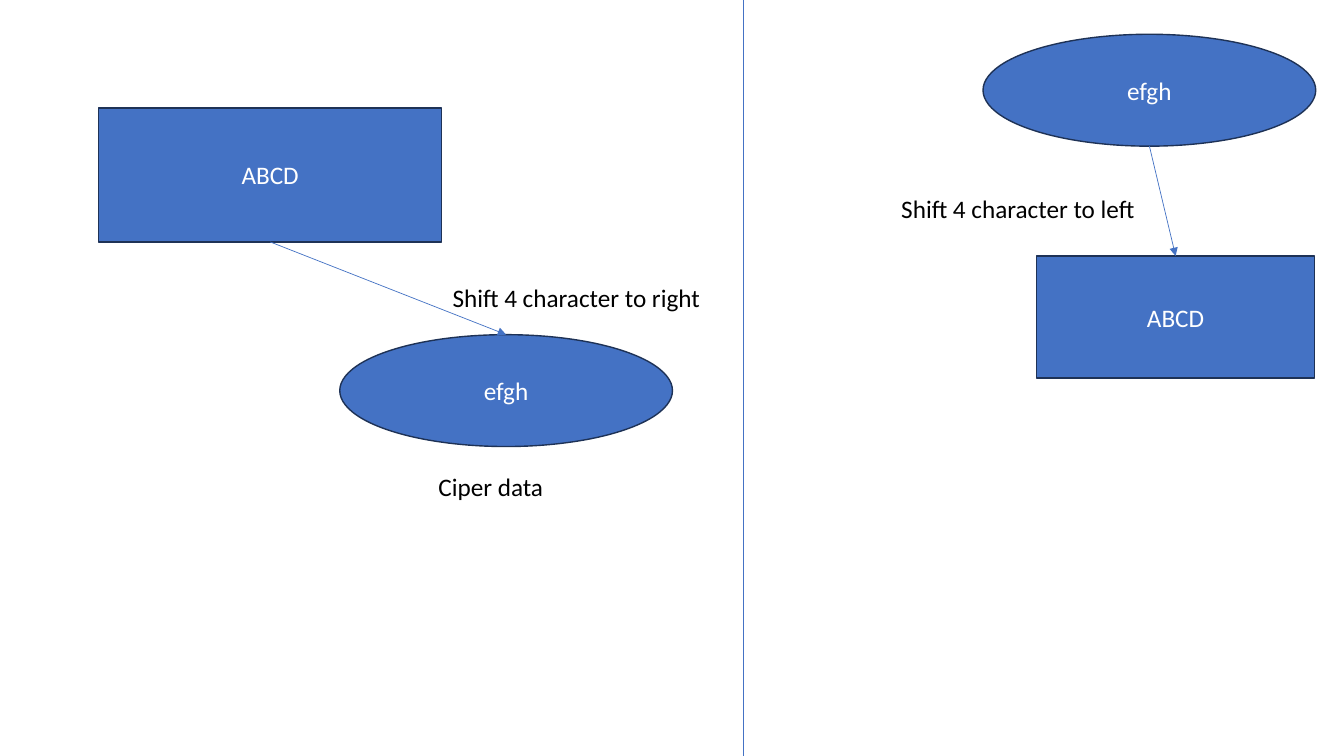
from lxml.etree import SubElement
from pptx import Presentation
from pptx.dml.color import RGBColor
from pptx.enum.shapes import MSO_CONNECTOR, MSO_SHAPE
from pptx.enum.text import MSO_ANCHOR, MSO_AUTO_SIZE, PP_ALIGN
from pptx.oxml.ns import qn
from pptx.util import Inches, Pt

BLUE = "4472C4"
NAVY = "1E3256"
WHITE = "FFFFFF"
BLACK = "000000"
FONT = {"name": "Calibri", "size": Pt(18)}


def paint(color, value):
    color.rgb = RGBColor.from_string(value)


def write(shape, text, color, align, frame):
    for key, value in frame.items():
        setattr(shape.text_frame, key, value)
    para = shape.text_frame.paragraphs[0]
    para.alignment = align
    run = para.add_run()
    run.text = text
    for key, value in FONT.items():
        setattr(run.font, key, value)
    paint(run.font.color, color)


def add_node(slide, kind, text, *box):
    node = slide.shapes.add_shape(kind, *map(Inches, box))
    node.shadow.inherit = False
    node.fill.solid()
    paint(node.fill.fore_color, BLUE)
    paint(node.line.color, NAVY)
    node.line.width = Pt(1)
    frame = {"vertical_anchor": MSO_ANCHOR.MIDDLE, "word_wrap": True}
    write(node, text, WHITE, PP_ALIGN.CENTER, frame)
    return node


def add_label(slide, text, left, top, width, wrap=False):
    label = slide.shapes.add_textbox(*map(Inches, (left, top, width, 0.4)))
    frame = {"word_wrap": wrap, "auto_size": MSO_AUTO_SIZE.SHAPE_TO_FIT_TEXT}
    write(label, text, BLACK, PP_ALIGN.LEFT, frame)


def add_line(slide, *ends):
    line = slide.shapes.add_connector(MSO_CONNECTOR.STRAIGHT, *map(Inches, ends))
    paint(line.line.color, BLUE)
    line.line.width = Pt(0.5)
    SubElement(line._element.spPr, qn("a:effectLst"))
    return line


def add_arrow(slide, start, end):
    arrow = add_line(slide, 0, 0, 1, 1)
    arrow.begin_connect(start, 2)
    arrow.end_connect(end, 0)
    stroke = arrow.line._get_or_add_ln()
    SubElement(stroke, qn("a:tailEnd"), type="triangle")


def main():
    deck = Presentation()
    deck.slide_width, deck.slide_height = Inches(13.33), Inches(7.5)
    slide = deck.slides.add_slide(deck.slide_layouts[6])

    plain = add_node(slide, MSO_SHAPE.RECTANGLE, "ABCD", 0.98, 1.07, 3.4, 1.33)
    cipher = add_node(slide, MSO_SHAPE.OVAL, "efgh", 3.37, 3.32, 3.3, 1.11)
    add_arrow(slide, plain, cipher)
    add_label(slide, "Shift 4 character to right", 4.39, 2.75, 2.69)
    add_label(slide, "Ciper data", 4.25, 4.63, 2.3, wrap=True)

    add_line(slide, 7.37, 0, 7.37, 7.5)

    cipher = add_node(slide, MSO_SHAPE.OVAL, "efgh", 9.75, 0.34, 3.3, 1.11)
    plain = add_node(slide, MSO_SHAPE.RECTANGLE, "ABCD", 10.28, 2.54, 2.76, 1.21)
    add_arrow(slide, cipher, plain)
    add_label(slide, "Shift 4 character to left", 8.84, 1.87, 2.55)

    deck.save("out.pptx")


if __name__ == "__main__":
    main()
